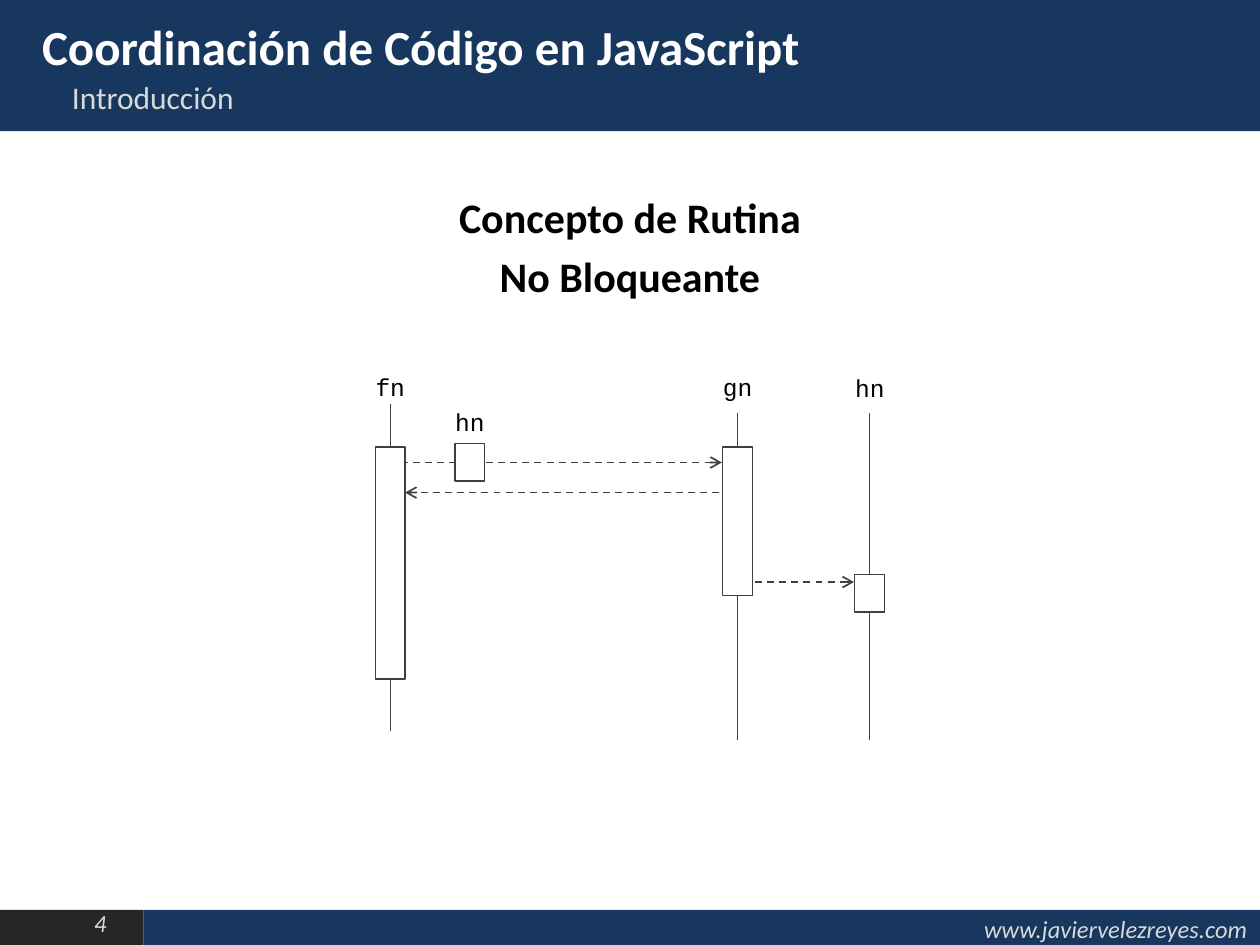
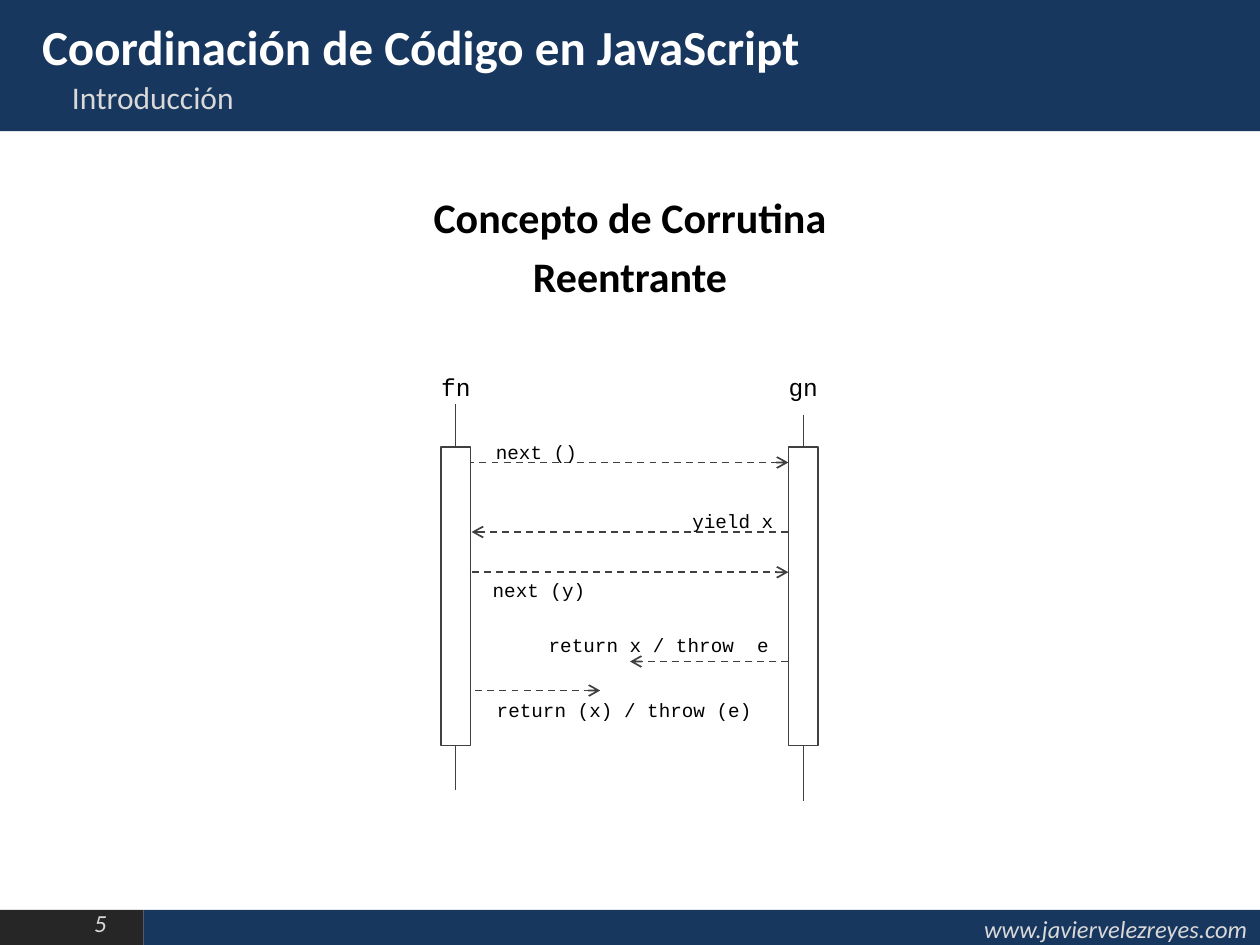
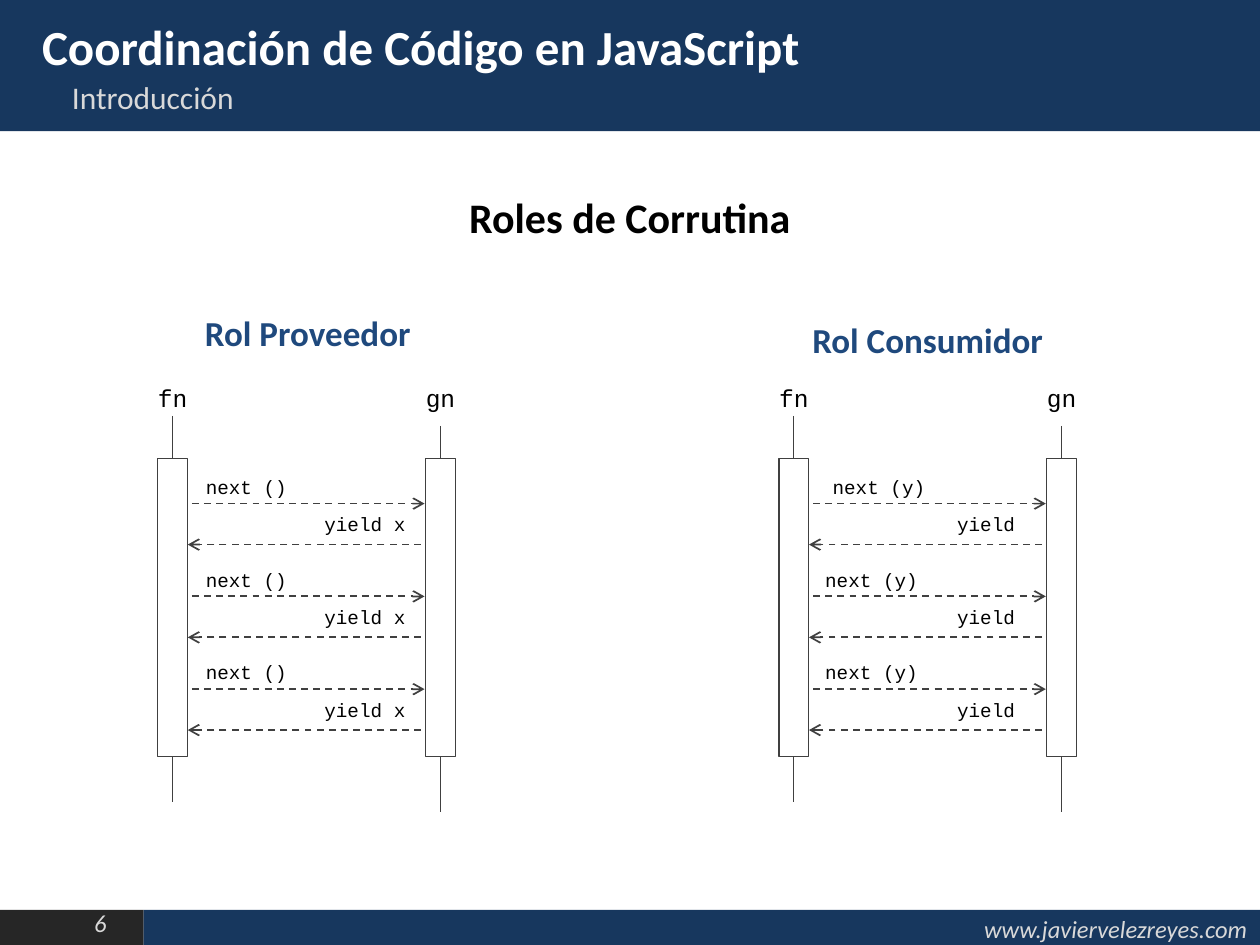
from lxml import etree
from pptx import Presentation
from pptx.dml.color import RGBColor
from pptx.enum.dml import MSO_LINE
from pptx.enum.shapes import MSO_CONNECTOR, MSO_SHAPE
from pptx.enum.text import MSO_ANCHOR, PP_ALIGN
from pptx.oxml.ns import qn
from pptx.util import Pt

LEFT, CENTER, RIGHT = PP_ALIGN.LEFT, PP_ALIGN.CENTER, PP_ALIGN.RIGHT
MIDDLE = MSO_ANCHOR.MIDDLE
RECT, STRAIGHT, DASH = MSO_SHAPE.RECTANGLE, MSO_CONNECTOR.STRAIGHT, MSO_LINE.DASH
rgb = RGBColor.from_string

NAVY, CHARCOAL, STROKE = "17375E", "262626", "404040"
PALE, WHITE, BLACK, ROLE_BLUE = "D9D9D9", "FFFFFF", "000000", "1F497D"
SANS, MONO = "Calibri", "Courier New"
BAR_WIDTH = 17


def write(shape, text, size, color, font=SANS, align=CENTER, bold=False, italic=False):
    frame = shape.text_frame
    frame.word_wrap = True
    frame.text = text
    for index, paragraph in enumerate(frame.paragraphs):
        paragraph.alignment = align
        if index:
            paragraph.space_before = Pt(0.2 * size)
        for run in paragraph.runs:
            run.font.name, run.font.size = font, Pt(size)
            run.font.bold, run.font.italic = bold, italic
            run.font.color.rgb = rgb(color)


def draw_line(slide, x1, y1, x2, y2, message=False):
    line = slide.shapes.add_connector(STRAIGHT, Pt(x1), Pt(y1), Pt(x2), Pt(y2))
    line.line.color.rgb = rgb(STROKE)
    line.line.width = Pt(1 if message else 0.75)
    if message:
        line.line.dash_style = DASH
        etree.SubElement(line.line._get_or_add_ln(), qn("a:tailEnd"), type="arrow")
    etree.SubElement(line._element.spPr, qn("a:effectLst"))


# Content of the three diagrams
# participants: name, centre x, name top, lifeline top, lifeline length, bar top, bar length
# messages: from x, to x, y; captions: text, left, top, width
routine = {
    "heading": "Concepto de Rutina\nNo Bloqueante",
    "participants": [
        ("fn", 223, 209, 231, 187, 255.5, 132.5),
        ("gn", 421.5, 209, 236, 187, 255.5, 85),
        ("hn", 497, 209.5, 236, 187, 328.3, 21.5),
        ("hn", 268.5, 229, 0, 0, 253.5, 21.5),  # passed along, without lifeline
    ],
    "messages": [(229, 412.5, 264.3), (411, 231.5, 281.5), (431.3, 488, 332.6)],
    "captions": [],
    "roles": [],
}
coroutine = {
    "heading": "Concepto de Corrutina\nReentrante",
    "participants": [
        ("fn", 260.5, 209, 231, 220.5, 255.5, 170.5),
        ("gn", 459, 209, 237, 220.5, 255.5, 170.5),
    ],
    "messages": [
        (267, 450.5, 264.3), (450.5, 269.5, 304), (269.5, 450.5, 327),
        (450.5, 360, 378), (271.5, 343, 394.6),
    ],
    "captions": [
        ("next ()", 270, 248, 73),
        ("yield x", 384.5, 287.5, 68.5),
        ("next (y) ", 273, 327, 70),
        ("return x / throw  e", 303, 358.5, 147),
        ("return (x) / throw (e)", 273.5, 395.3, 166.5),
    ],
    "roles": [],
}
roles = {
    "heading": "Roles de Corrutina",
    "participants": [], "messages": [], "captions": [],
    "roles": [("Rol Proveedor", 68.4, 174.2), ("Rol Consumidor", 422.6, 178.6)],
}

# Both roles share one exchange, repeated three times
exchanges = [
    (0, "next ()", "yield x", (65.5, 65.5, 65.5)),
    (355, "next (y)", "yield", (78.5, 70, 70)),
]
for shift, call, reply, call_widths in exchanges:
    roles["participants"] += [
        ("fn", shift + 98.6, 215.5, 237.6, 220.5, 262, 170.5),
        ("gn", shift + 251.7, 215.5, 243.4, 220.5, 262, 170.5),
    ]
    for turn, call_width in enumerate(call_widths):
        y = 287.8 + 53 * turn
        roles["messages"] += [
            (shift + 109.6, shift + 242.6, y),
            (shift + 240.5, shift + 107.3, y + 23.4),
        ]
        roles["captions"] += [
            (call, shift + 108, y - 19.8, call_width),
            (reply, shift + 173.5, y + 1.5, 70),
        ]

prs = Presentation()
prs.slide_width, prs.slide_height = Pt(720), Pt(540)

for page, diagram in enumerate([routine, coroutine, roles], start=4):
    slide = prs.slides.add_slide(prs.slide_layouts[6])
    shapes = slide.shapes

    # Header and footer bands
    for color, box, label in [
        (CHARCOAL, (-0.7, 520, 82.8, 21), ""),
        (NAVY, (82.1, 520, 637.9, 21), "www.javiervelezreyes.com"),
        (NAVY, (0, 0, 720, 75), ""),
    ]:
        band = shapes.add_shape(RECT, *map(Pt, box))
        band.shadow.inherit = False
        band.fill.solid()
        band.fill.fore_color.rgb = rgb(color)
        band.line.fill.background()
        if label:
            write(band, label, 14, PALE, align=RIGHT, italic=True)
            band.text_frame.vertical_anchor = MIDDLE

    # Page number, section, title and heading
    number = shapes.add_textbox(Pt(8.6), Pt(515.5), Pt(62.6), Pt(24.5))
    write(number, f"{page} ", 14, PALE, align=RIGHT, italic=True)
    section = shapes.add_textbox(Pt(34), Pt(41), Pt(661), Pt(28))
    write(section, "Introducción", 18, PALE, align=LEFT)
    title = shapes.add_textbox(Pt(17), Pt(6), Pt(678), Pt(34))
    write(title, "Coordinación de Código en JavaScript", 28, WHITE, align=LEFT, bold=True)
    heading = shapes.add_textbox(Pt(190), Pt(106), Pt(340), Pt(28))
    write(heading, diagram["heading"], 24, BLACK, bold=True)

    # Lifelines and messages, behind the activation bars
    for _, x, _, life_top, life_length, _, _ in diagram["participants"]:
        if life_length:
            draw_line(slide, x, life_top, x, life_top + life_length)
    for start, end, y in diagram["messages"]:
        draw_line(slide, start, y, end, y, message=True)

    # Activation bars and participant names
    for name, x, name_top, _, _, bar_top, bar_length in diagram["participants"]:
        bar = shapes.add_shape(
            RECT, Pt(x - BAR_WIDTH / 2), Pt(bar_top), Pt(BAR_WIDTH), Pt(bar_length))
        bar.shadow.inherit = False
        bar.fill.solid()
        bar.fill.fore_color.rgb = rgb(WHITE)
        bar.line.color.rgb = rgb(STROKE)
        bar.line.width = Pt(0.75)
        participant = shapes.add_textbox(Pt(x - 20), Pt(name_top), Pt(40), Pt(24))
        write(participant, name, 14, BLACK, MONO)

    # Message captions and role names
    for text, left, top, width in diagram["captions"]:
        caption = shapes.add_textbox(Pt(left), Pt(top), Pt(width), Pt(21))
        write(caption, text, 11, BLACK, MONO)
    for text, left, top in diagram["roles"]:
        role = shapes.add_textbox(Pt(left), Pt(top), Pt(215), Pt(28))
        write(role, text, 20, ROLE_BLUE, bold=True)

prs.save("out.pptx")
